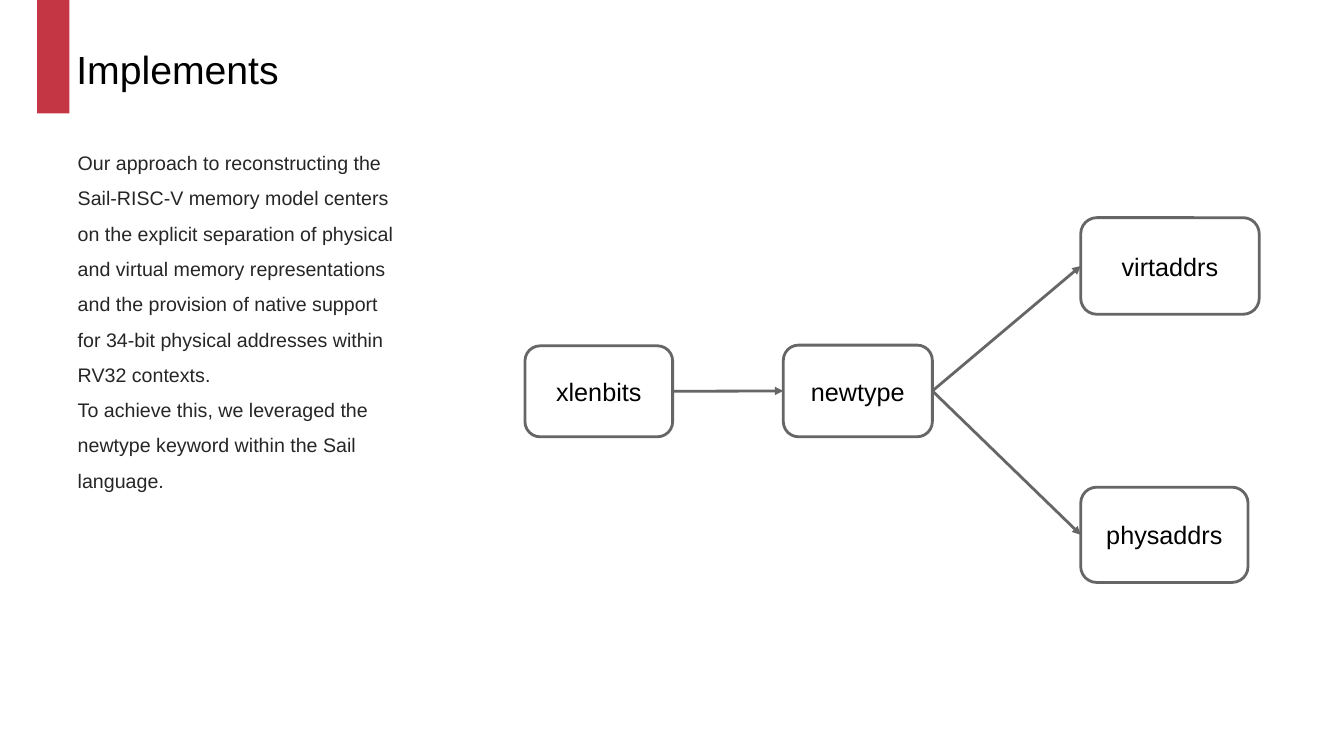
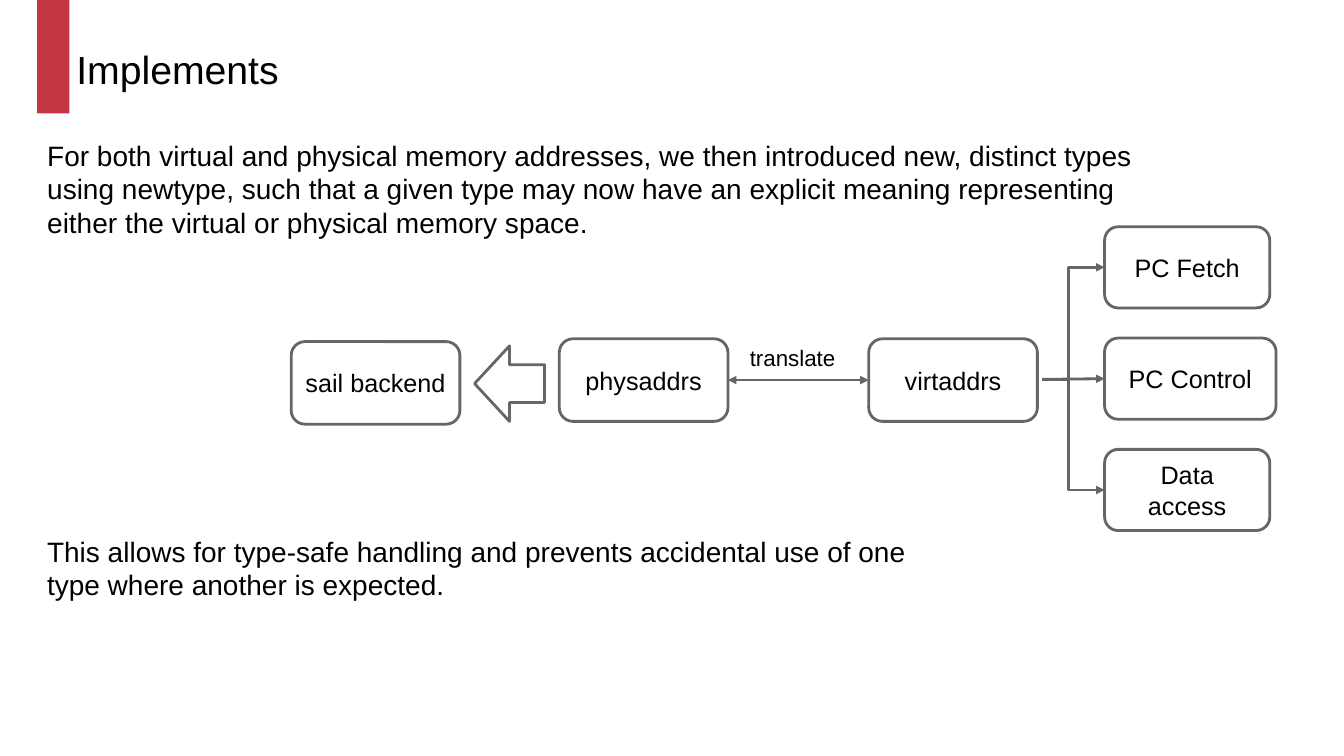
from pptx import Presentation
from pptx import util as u
from pptx.dml.color import RGBColor
from pptx.enum import shapes, text
from pptx.oxml.ns import qn
from lxml import etree

Pt = u.Pt
RED = RGBColor(0xC5, 0x36, 0x45)
GRAY = RGBColor(0x66, 0x66, 0x66)
INK = RGBColor(0x26, 0x26, 0x26)
BLACK = RGBColor(0, 0, 0)
WHITE = RGBColor(255, 255, 255)
FONT = "Arial"
MID = text.MSO_ANCHOR.MIDDLE
LEFT, CENTER = text.PP_ALIGN.LEFT, text.PP_ALIGN.CENTER
KIND = shapes.MSO_SHAPE
WIRE = shapes.MSO_CONNECTOR


# Shared parts

def place(shape, box):
    shape.left, shape.top, shape.width, shape.height = map(Pt, box)


def write(shape, lines, size, color=BLACK, align=LEFT, space=1.0):
    frame = shape.text_frame
    frame.word_wrap = True
    frame.text = "\n".join(lines)
    for para in frame.paragraphs:
        para.alignment = align
        para.line_spacing = space
        para.space_before = Pt(0)
        font = para.font
        font.name, font.size = FONT, Pt(size)
        font.color.rgb = color
    return frame


def pad(frame, size):
    frame.margin_left = frame.margin_right = Pt(size)
    frame.margin_top = frame.margin_bottom = Pt(size)


def paint(shape, fill, line=None):
    shape.shadow.inherit = False
    shape.fill.solid()
    shape.fill.fore_color.rgb = fill
    if line is None:
        shape.line.fill.background()
    else:
        shape.line.color.rgb = line
        shape.line.width = Pt(2)


def start(deck):
    """New slide with title and red tab; returns slide and body."""
    slide = deck.slides.add_slide(deck.slide_layouts[1])
    title, body = slide.placeholders
    place(title, (54.5, 29.5, 162, 40))
    frame = write(title, ["Implements"], 28)
    frame.vertical_anchor = MID
    pad(frame, 0)
    tab = slide.shapes.add_shape(KIND.RECTANGLE, *map(Pt, (26.5, 0, 23, 81)))
    paint(tab, RED)
    return slide, body


def prose(body, box, lines, size, color=BLACK, space=1.0):
    """Body text without bullets."""
    place(body, box)
    frame = write(body, lines, size, color, space=space)
    frame.auto_size = text.MSO_AUTO_SIZE.NONE
    for para in frame.paragraphs:
        props = para._p.get_or_add_pPr()
        props.set("marL", "0")
        props.set("indent", "0")
        bare = etree.Element(qn("a:buNone"))
        props.find(qn("a:defRPr")).addprevious(bare)
    return frame


def label(slide, box, line, size):
    note = slide.shapes.add_textbox(*map(Pt, box))
    write(note, [line], size)


def node(slide, box, name):
    shape = slide.shapes.add_shape(KIND.ROUNDED_RECTANGLE, *map(Pt, box))
    paint(shape, WHITE, GRAY)
    write(shape, [name], 18, align=CENTER).vertical_anchor = MID
    return shape


def link(slide, tail, head, kind=WIRE.STRAIGHT, both=False):
    """Arrow from a node's right side, or a point, to a node's left side."""
    joined = not isinstance(tail, tuple)
    spot = (0, 0) if joined else tail
    wire = slide.shapes.add_connector(kind, *map(Pt, spot * 2))
    if joined:
        wire.begin_connect(tail, 3)
    wire.end_connect(head, 1)
    wire.line.color.rgb = GRAY
    wire.line.width = Pt(2)
    line = wire.line._get_or_add_ln()
    for end in ("headEnd", "tailEnd") if both else ("tailEnd",):
        etree.SubElement(line, qn("a:" + end), type="triangle")
    etree.SubElement(wire._element.spPr, qn("a:effectLst"))
    return wire


def bend(wire, ratio):
    """Set where an elbow turns, as a share of its width."""
    guides = wire._element.spPr.find(qn("a:prstGeom")).get_or_add_avLst()
    etree.SubElement(guides, qn("a:gd"), name="adj1",
                     fmla=f"val {round(ratio * 100000)}")


# Diagrams

def split(slide, x, y):
    """One type divided into two."""
    bits = node(slide, (x, y + 91.5, 105.5, 65), "xlenbits")
    new = node(slide, (x + 184.5, y + 91, 106.5, 65.5), "newtype")
    virt = node(slide, (x + 397, y, 127.5, 69), "virtaddrs")
    phys = node(slide, (x + 397, y + 192.5, 119.5, 68), "physaddrs")
    for tail, head in ((bits, new), (new, virt), (new, phys)):
        link(slide, tail, head)


def flow(slide, x, y):
    """Backend, address types and the users of virtual addresses."""
    wide, high = 120.5, 59
    node(slide, (x, y + 82, wide, high), "sail backend")
    phys = node(slide, (x + 191.5, y + 80, wide, high), "physaddrs")
    virt = node(slide, (x + 412.5, y + 80, wide, high), "virtaddrs")
    arrow = slide.shapes.add_shape(
        KIND.LEFT_ARROW, *map(Pt, (x + 131, y + 85, 50, 54)))
    paint(arrow, WHITE, GRAY)
    link(slide, phys, virt, both=True)
    label(slide, (x + 320.5, y + 80, 152, 29.5), "translate", 16)

    # Fan of users, sharing one trunk
    root, trunk, edge = x + 536.5, x + 555, x + 581
    users = (("PC Fetch", 118), ("PC Control", 122.5), ("Data access", 118))
    for i, (name, width) in enumerate(users):
        user = node(slide, (edge, y + 79.5 * i, width, 58), name)
        straight = i == 1
        kind = WIRE.STRAIGHT if straight else WIRE.ELBOW
        wire = link(slide, (root, y + 109), user, kind)
        if not straight:
            bend(wire, (trunk - root) / (edge - root))


# Slides

def types(deck):
    slide, body = start(deck)
    frame = prose(body, (55.5, 99.5, 233.5, 360), [
        "Our approach to reconstructing the Sail-RISC-V memory model centers "
        "on the explicit separation of physical and virtual memory "
        "representations and the provision of native support for 34-bit "
        "physical addresses within RV32 contexts.",
        "To achieve this, we leveraged the newtype keyword within the Sail "
        "language."], 14, INK, 1.5)
    pad(frame, 0)
    split(slide, 375, 155.5)


def usage(deck):
    slide, body = start(deck)
    prose(body, (26.5, 95, 831.5, 91.5), [
        "For both virtual and physical memory addresses, we then introduced "
        "new, distinct types using newtype, such that a given type may now "
        "have an explicit meaning representing either the virtual or "
        "physical memory space."], 20)
    flow(slide, 208, 162)
    label(slide, (26.5, 378, 661, 63.5),
          "This allows for type-safe handling and prevents accidental use of "
          "one type where another is expected.", 20)


def main():
    deck = Presentation()
    deck.slide_width, deck.slide_height = Pt(960), Pt(540)
    types(deck)
    usage(deck)
    deck.save("out.pptx")


if __name__ == "__main__":
    main()
